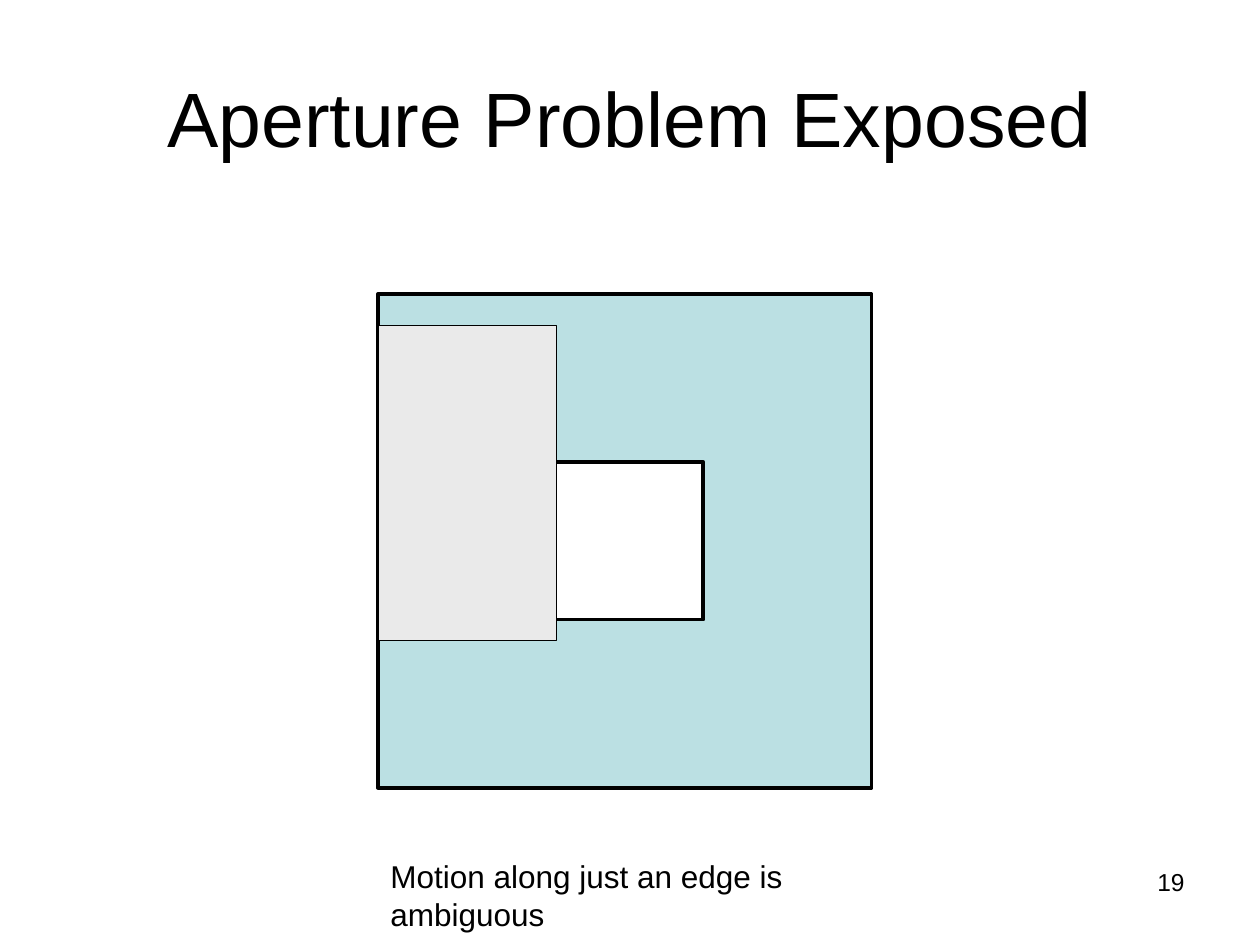
"""Build the "Aperture Problem Exposed" slide."""
from dataclasses import dataclass
from typing import Optional

from pptx import Presentation
from pptx.dml.color import RGBColor
from pptx.enum.shapes import MSO_SHAPE as SHAPE
from pptx.enum.text import MSO_ANCHOR as ANCHOR, MSO_AUTO_SIZE as AUTO, PP_ALIGN as ALIGN
from pptx.util import Cm, Pt

LEFT, TOP, SIDE, BAR, WINDOW = 7.62, 5.93, 9.95, 3.39, 3.17
GAP = SIDE - BAR
INSET = (SIDE - WINDOW) / 2


@dataclass
class Box:
    x: float
    y: float
    w: float
    h: float
    fill: Optional[str] = None
    line: Optional[float] = None
    rotation: float = 0


@dataclass
class Label:
    text: str
    x: float
    y: float
    w: float
    h: float
    size: float
    align: ALIGN = ALIGN.LEFT
    frame: Optional[dict] = None


BOXES = [
    *(Box(LEFT + dx, TOP + dy, SIDE, BAR, "BBE0E3", rotation=angle)
      for dx, dy, angle in [(0, 0, 0), (GAP / 2, GAP / 2, 90),
                            (-GAP / 2, GAP / 2, 270), (0, GAP, 0)]),
    Box(LEFT + INSET, TOP + INSET, WINDOW, WINDOW, line=2.25),
    Box(LEFT, TOP, SIDE, SIDE, line=2.25),
    Box(LEFT, 6.56, 3.6, 6.35, "EAEAEA", 0.75),
]

LABELS = [
    Label("Aperture Problem Exposed", 1.27, 0.76, 22.86, 3.18, 44, ALIGN.CENTER,
          {"vertical_anchor": ANCHOR.MIDDLE}),
    Label("Motion along just an edge is ambiguous", LEFT, 17.15, 11.68, 1.02, 18,
          frame={"word_wrap": False, "auto_size": AUTO.SHAPE_TO_FIT_TEXT}),
    Label("19", 18.2, 17.36, 5.93, 1.32, 14, ALIGN.RIGHT),
]


def rgb(value: str) -> RGBColor:
    return RGBColor.from_string(value)


def draw_box(s, box: Box) -> None:
    sp = s.shapes.add_shape(SHAPE.RECTANGLE, *map(Cm, (box.x, box.y, box.w, box.h)))
    sp.shadow.inherit = False
    sp.rotation = box.rotation
    if box.fill:
        sp.fill.solid()
        sp.fill.fore_color.rgb = rgb(box.fill)
    else:
        sp.fill.background()
    if box.line:
        sp.line.color.rgb = rgb("000000")
        sp.line.width = Pt(box.line)
    else:
        sp.line.fill.background()


def draw_label(s, label: Label) -> None:
    sp = s.shapes.add_textbox(*map(Cm, (label.x, label.y, label.w, label.h)))
    tf = sp.text_frame
    for name, value in ({"word_wrap": True} | (label.frame or {})).items():
        setattr(tf, name, value)
    p = tf.paragraphs[0]
    p.alignment = label.align
    r = p.add_run()
    r.text = label.text
    for name, value in {"name": "Arial", "size": Pt(label.size)}.items():
        setattr(r.font, name, value)
    r.font.color.rgb = rgb("000000")


def main() -> None:
    prs = Presentation()
    prs.slide_width, prs.slide_height = Cm(25.4), Cm(19.05)
    s = prs.slides.add_slide(prs.slide_layouts[6])
    for box in BOXES:
        draw_box(s, box)
    for label in LABELS:
        draw_label(s, label)
    prs.save("out.pptx")


if __name__ == "__main__":
    main()
